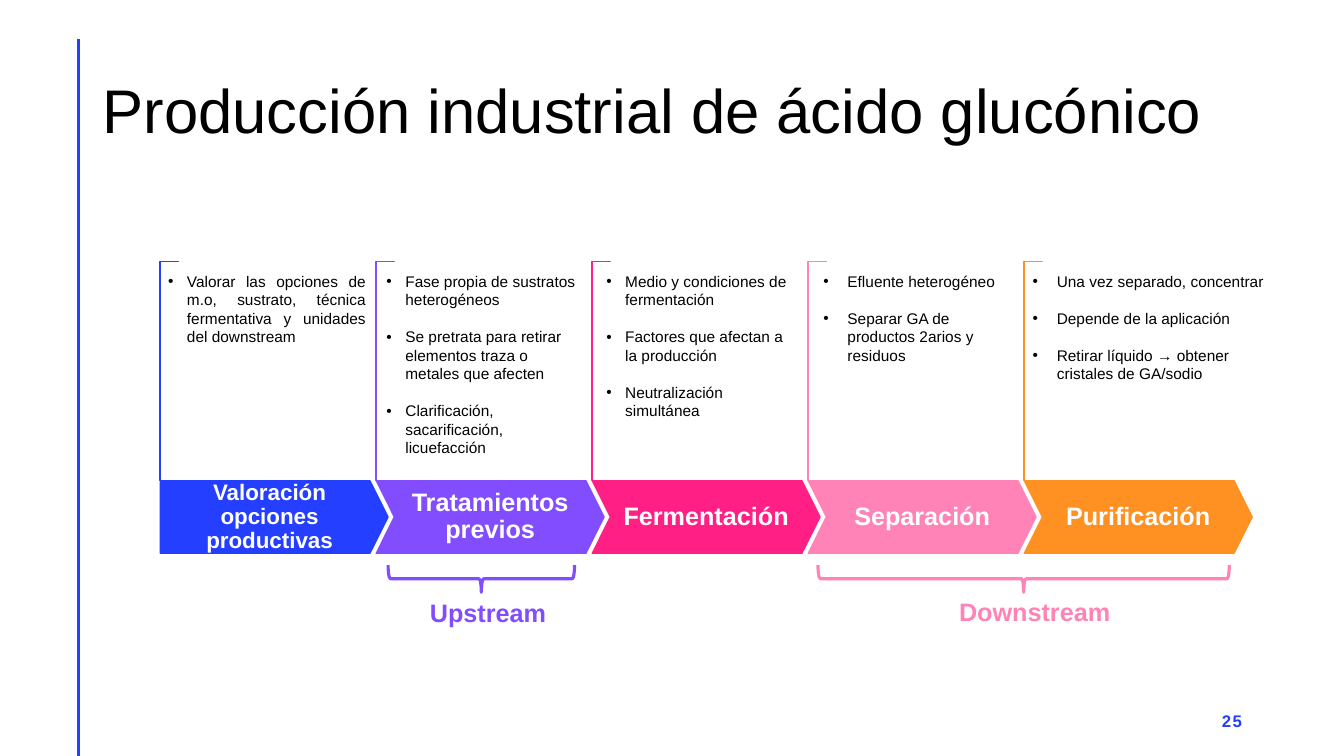
from lxml import etree
from pptx import Presentation
from pptx.dml.color import RGBColor
from pptx.enum.shapes import MSO_CONNECTOR, MSO_SHAPE
from pptx.enum.text import MSO_ANCHOR, PP_ALIGN
from pptx.oxml.ns import qn
from pptx.util import Pt

LEFT, RIGHT = PP_ALIGN.LEFT, PP_ALIGN.RIGHT
MID, FULL = PP_ALIGN.CENTER, PP_ALIGN.JUSTIFY
TOP, CENTER = MSO_ANCHOR.TOP, MSO_ANCHOR.MIDDLE
CORNER, BRACE = MSO_SHAPE.CORNER, MSO_SHAPE.RIGHT_BRACE
PLATE, ARROW = MSO_SHAPE.PENTAGON, MSO_SHAPE.CHEVRON
LINE = MSO_CONNECTOR.STRAIGHT
BLUE, VIOLET, RED, PINK, ORANGE = "243FFF", "814DFF", "FF1F85", "FF83B6", "FF9022"
BLACK, WHITE = "000000", "FFFFFF"
rgb = RGBColor.from_string

prs = Presentation()
prs.slide_width, prs.slide_height = Pt(960), Pt(540)
slide = prs.slides.add_slide(prs.slide_layouts[6])


def draw(kind, x, y, w, h, color, fill=None, width=1, turn=0, adj=()):
    shape = slide.shapes.add_shape(kind, Pt(x), Pt(y), Pt(w), Pt(h))
    shape.shadow.inherit = False
    shape.rotation = turn
    for i, value in enumerate(adj):
        shape.adjustments[i] = value
    if fill:
        shape.fill.solid()
        shape.fill.fore_color.rgb = rgb(fill)
    else:
        shape.fill.background()
    shape.line.color.rgb = rgb(color)
    shape.line.width = Pt(width)
    return shape


def write(text, box=None, shape=None, size=18, color=BLACK, bold=False,
          align=LEFT, anchor=TOP, lead=None, indent=0, track=0):
    if shape is None:
        shape = slide.shapes.add_textbox(*[Pt(v) for v in box])
    frame = shape.text_frame
    frame.word_wrap = True
    frame.vertical_anchor = anchor
    frame.text = text
    for i, par in enumerate(frame.paragraphs):
        par.alignment = align
        if lead:
            par.line_spacing = lead
        if i:
            par.space_before = Pt(13.2)
        if indent:
            props = par._p.get_or_add_pPr()
            props.set("marL", str(Pt(indent)))
            props.set("indent", str(-Pt(indent)))
            etree.SubElement(props, qn("a:buFont")).set("typeface", "Arial")
            etree.SubElement(props, qn("a:buChar")).set("char", "•")
        for run in par.runs:
            font = run.font
            font.name, font.size, font.bold = "Arial", Pt(size), bold
            font.color.rgb = rgb(color)
            if track:
                run._r.get_or_add_rPr().set("spc", str(track * 100))
    return frame


# Side rule, title and page number
rule = slide.shapes.add_connector(LINE, Pt(56.2), Pt(28), Pt(56.2), Pt(540))
rule.line.color.rgb = rgb(BLUE)
rule.line.width = Pt(2)
etree.SubElement(rule._element.spPr, qn("a:effectLst"))
write("Producción industrial de ácido glucónico", (66.2, 28.8, 874.8, 104.4),
      size=44, anchor=CENTER, lead=0.9)
write("25", (678.2, 500.4, 216, 28.8), size=12, color=BLUE, bold=True,
      align=RIGHT, anchor=CENTER, track=1)

# Stages: name, colour, name size, notes left, notes width, indent, notes
stages = [
    ("Valoración opciones productivas", BLUE, 16, 113, 155.5, 13.5, [
        "Valorar las opciones de m.o, sustrato, técnica fermentativa y "
        "unidades del downstream"]),
    ("Tratamientos previos", VIOLET, 18, 269, 155, 13.5, [
        "Fase propia de sustratos heterogéneos",
        "Se pretrata para retirar elementos traza o metales que afecten",
        "Clarificación, sacarificación, licuefacción"]),
    ("Fermentación", RED, 18, 426, 145, 13.5, [
        "Medio y condiciones de fermentación",
        "Factores que afectan a la producción",
        "Neutralización simultánea"]),
    ("Separación", PINK, 18, 581, 149, 17.3, [
        "Efluente heterogéneo",
        "Separar GA de productos 2arios y residuos"]),
    ("Purificación", ORANGE, 18, 730.5, 197.5, 17.3, [
        "Una vez separado, concentrar",
        "Depende de la aplicación",
        "Retirar líquido → obtener cristales de GA/sodio"]),
]
start, step = 114.5, 154.3
for i, (name, color, size, left, width, indent, notes) in enumerate(stages):
    x = start + i * step
    # The corner is turned, so its box is set around the bracket's centre
    draw(CORNER, x + 6.3 - 78.1, 258.5, 156.2, 13, color, WHITE,
         turn=90, adj=(0.01, 0.01))
    arrow = draw(ARROW if i else PLATE, x, 343.4, 162.7, 51.8, color, color,
                 adj=(0.25,))
    frame = write(name, shape=arrow, size=size, color=WHITE, bold=True,
                  align=MID, anchor=CENTER, lead=0.9)
    frame.margin_top = frame.margin_bottom = 0
    write("\n".join(notes), (left, 190.8, width, 90), size=11, indent=indent,
          align=LEFT if i else FULL)

# Process halves: name, colour, name left, name top, brace centre, brace span
halves = [
    ("Upstream", VIOLET, 300, 423.4, 343.8, 133.2),
    ("Downstream", PINK, 678, 422.6, 731.2, 293.8),
]
for name, color, left, top, mid, span in halves:
    draw(BRACE, mid - 9.7, 413.4 - span / 2, 19.4, span, color, width=2.25, turn=90)
    write(name, (left, top, 128, 28.8), color=color, bold=True)

prs.save("out.pptx")
